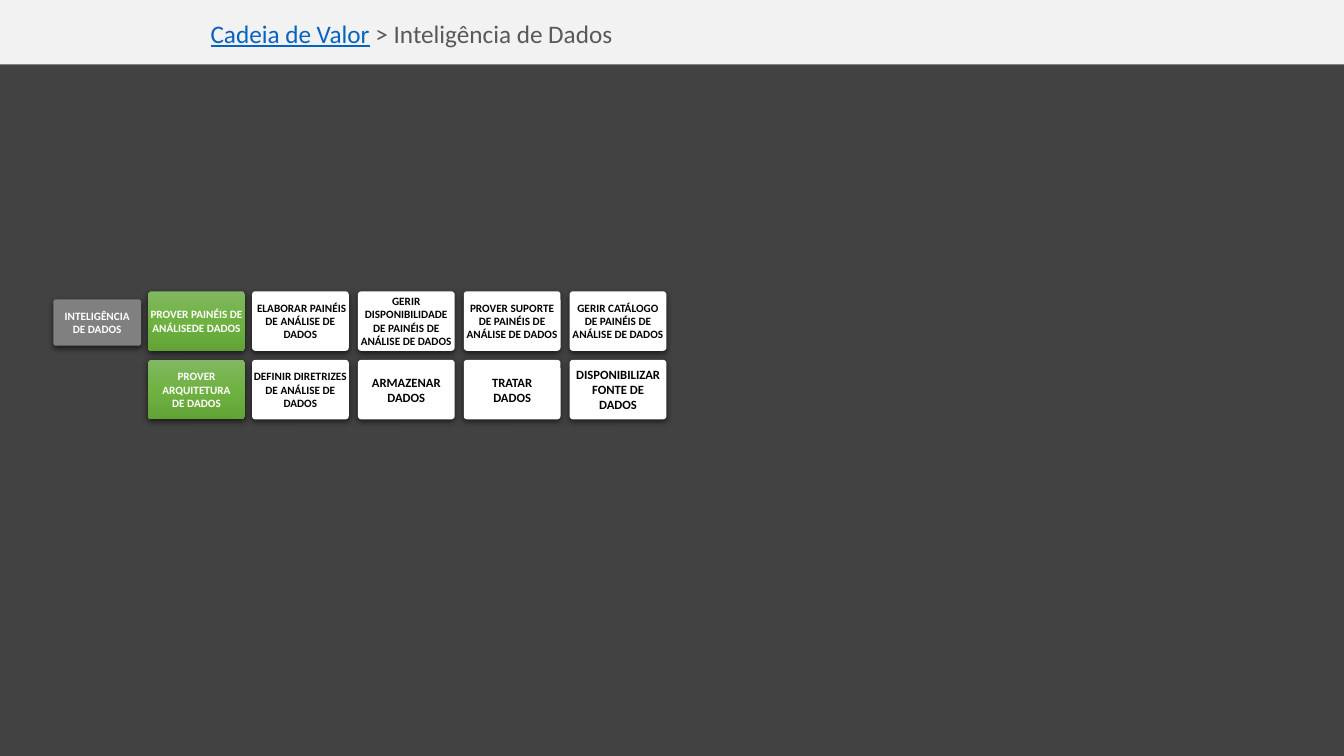
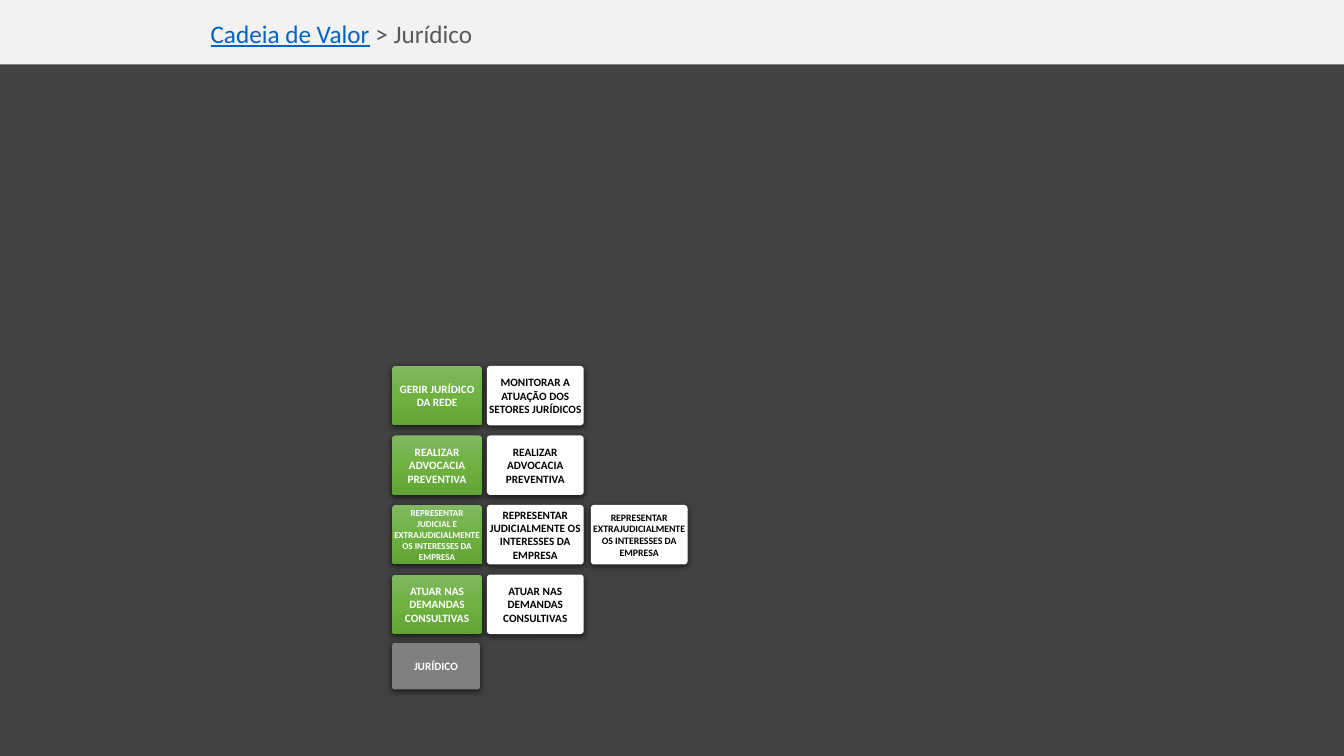
from copy import deepcopy

from lxml import etree
from pptx import Presentation
from pptx.dml.color import RGBColor
from pptx.enum.shapes import MSO_SHAPE
from pptx.enum.text import MSO_ANCHOR, PP_ALIGN
from pptx.oxml.ns import qn
from pptx.util import Inches, Pt

RECT, ROUND = MSO_SHAPE.RECTANGLE, MSO_SHAPE.ROUNDED_RECTANGLE
MIDDLE, CENTER = MSO_ANCHOR.MIDDLE, PP_ALIGN.CENTER

# Theme
THEME = {
    "font": "Calibri", "title": 18, "label": 8, "curve": 0.055,
    "band": "F2F2F2", "back": "424242", "link": "0563C1", "text": "595959",
    "green": ((0, "81B861"), (0.5, "6FB242"), (1, "62A336")),
    "blur": 4.5, "drop": 1.5, "shade": 63,
}
KINDS = {  # fill, text colour
    "area": ("808080", "FFFFFF"),
    "macro": (THEME["green"], "FFFFFF"),
    "step": ("FFFFFF", "000000"),
}
WIDE, HIGH, BAND = 13.33, 7.5, 0.64
TAG = (0.87, 0.46)
BOX_W, BOX_H = 0.96, 0.59

# Content: each row is a macro process, then its steps; (text, size) if not 8 pt
ROOT = "Cadeia de Valor"
PAGES = [
    {
        "name": "Inteligência de Dados",
        "tag": ("INTELIGÊNCIA\nDE DADOS", 0.53, 2.97),
        "left": 1.47, "top": 2.89, "macro": 0.96,
        "first": 2.5, "col": 1.05, "row": 0.68,
        "rows": [
            ["PROVER PAINÉIS DE ANÁLISEDE DADOS",
             " ELABORAR PAINÉIS DE ANÁLISE DE DADOS",
             "GERIR DISPONIBILIDADE DE PAINÉIS DE ANÁLISE DE DADOS",
             "PROVER SUPORTE DE PAINÉIS DE ANÁLISE DE DADOS",
             "GERIR CATÁLOGO DE PAINÉIS DE ANÁLISE DE DADOS"],
            ["PROVER ARQUITETURA\nDE DADOS",
             "DEFINIR DIRETRIZES DE ANÁLISE DE DADOS",
             ("ARMAZENAR DADOS", 9),
             ("TRATAR\nDADOS", 9),
             ("DISPONIBILIZAR FONTE DE\nDADOS", 9)],
        ],
    },
    {
        "name": "Jurídico",
        "tag": ("JURÍDICO", 3.89, 6.38),
        "left": 3.89, "top": 3.63, "macro": 0.89,
        "first": 4.83, "col": 1.03, "row": 0.69,
        "rows": [
            ["GERIR JURÍDICO DA REDE",
             "MONITORAR A ATUAÇÃO DOS SETORES JURÍDICOS"],
            ["REALIZAR ADVOCACIA PREVENTIVA",
             "REALIZAR ADVOCACIA PREVENTIVA"],
            [("REPRESENTAR JUDICIAL E EXTRAJUDICIALMENTE "
              "OS INTERESSES DA EMPRESA", 6.5),
             "REPRESENTAR JUDICIALMENTE OS INTERESSES DA EMPRESA",
             ("REPRESENTAR EXTRAJUDICIALMENTE "
              "OS INTERESSES DA EMPRESA", 7)],
            ["ATUAR NAS DEMANDAS CONSULTIVAS",
             "ATUAR NAS DEMANDAS CONSULTIVAS"],
        ],
    },
]


def style(font, color, **values):
    font.color.rgb = RGBColor.from_string(color)
    for key, value in {"name": THEME["font"], **values}.items():
        setattr(font, key, value)


def paint(shape, color):
    fill = shape.fill
    if isinstance(color, str):
        fill.solid()
        fill.fore_color.rgb = RGBColor.from_string(color)
        return
    fill.gradient()
    fill.gradient_angle = 270
    stops = next(shape.element.iter(qn("a:gsLst")))
    stops.insert(1, deepcopy(stops[0]))
    for stop, (place, tone) in zip(fill.gradient_stops, color):
        stop.position = place
        stop.color.rgb = RGBColor.from_string(tone)


def shade(shape):
    effects = shape.element.spPr.find(qn("a:effectLst"))
    outer = etree.SubElement(
        effects, qn("a:outerShdw"), blurRad=str(Pt(THEME["blur"])),
        dist=str(Pt(THEME["drop"])), dir="5400000", rotWithShape="0")
    black = etree.SubElement(outer, qn("a:srgbClr"), val="000000")
    etree.SubElement(black, qn("a:alpha"), val=str(THEME["shade"] * 1000))


def block(slide, form, color, *area):
    shape = slide.shapes.add_shape(form, *map(Inches, area))
    shape.shadow.inherit = False
    shape.line.fill.background()
    paint(shape, color)
    return shape


def card(slide, kind, label, *area):
    text, size = label if isinstance(label, tuple) else (label, THEME["label"])
    fill, color = KINDS[kind]
    shape = block(slide, ROUND, fill, *area)
    shape.adjustments[0] = THEME["curve"]
    shade(shape)
    frame = shape.text_frame
    frame.text = text
    frame.word_wrap = True
    frame.vertical_anchor = MIDDLE
    for side in ("left", "top", "right", "bottom"):
        setattr(frame, f"margin_{side}", 0)
    for para in frame.paragraphs:
        para.alignment = CENTER
        style(para.runs[0].font, color, size=Pt(size), bold=True)


def head(slide, name):
    block(slide, RECT, THEME["band"], 0, 0, WIDE, BAND)
    block(slide, RECT, THEME["back"], 0, BAND, WIDE, HIGH - BAND)
    box = slide.shapes.add_textbox(*map(Inches, (1.99, 0.13, 11.24, 0.52)))
    frame = box.text_frame
    frame.word_wrap = True
    for text, tone, under in ((ROOT, "link", True),
                              (f" > {name}", "text", False)):
        run = frame.paragraphs[0].add_run()
        run.text = text
        style(run.font, THEME[tone], size=Pt(THEME["title"]), underline=under)


def build(deck, page):
    slide = deck.slides.add_slide(deck.slide_layouts[6])
    head(slide, page["name"])
    text, left, top = page["tag"]
    card(slide, "area", text, left, top, *TAG)
    # Grid of processes
    for line, (macro, *steps) in enumerate(page["rows"]):
        top = page["top"] + line * page["row"]
        card(slide, "macro", macro, page["left"], top, page["macro"], BOX_H)
        for col, step in enumerate(steps):
            left = page["first"] + col * page["col"]
            card(slide, "step", step, left, top, BOX_W, BOX_H)


def main():
    deck = Presentation()
    deck.slide_width, deck.slide_height = Inches(WIDE), Inches(HIGH)
    for page in PAGES:
        build(deck, page)
    deck.save("out.pptx")


if __name__ == "__main__":
    main()
